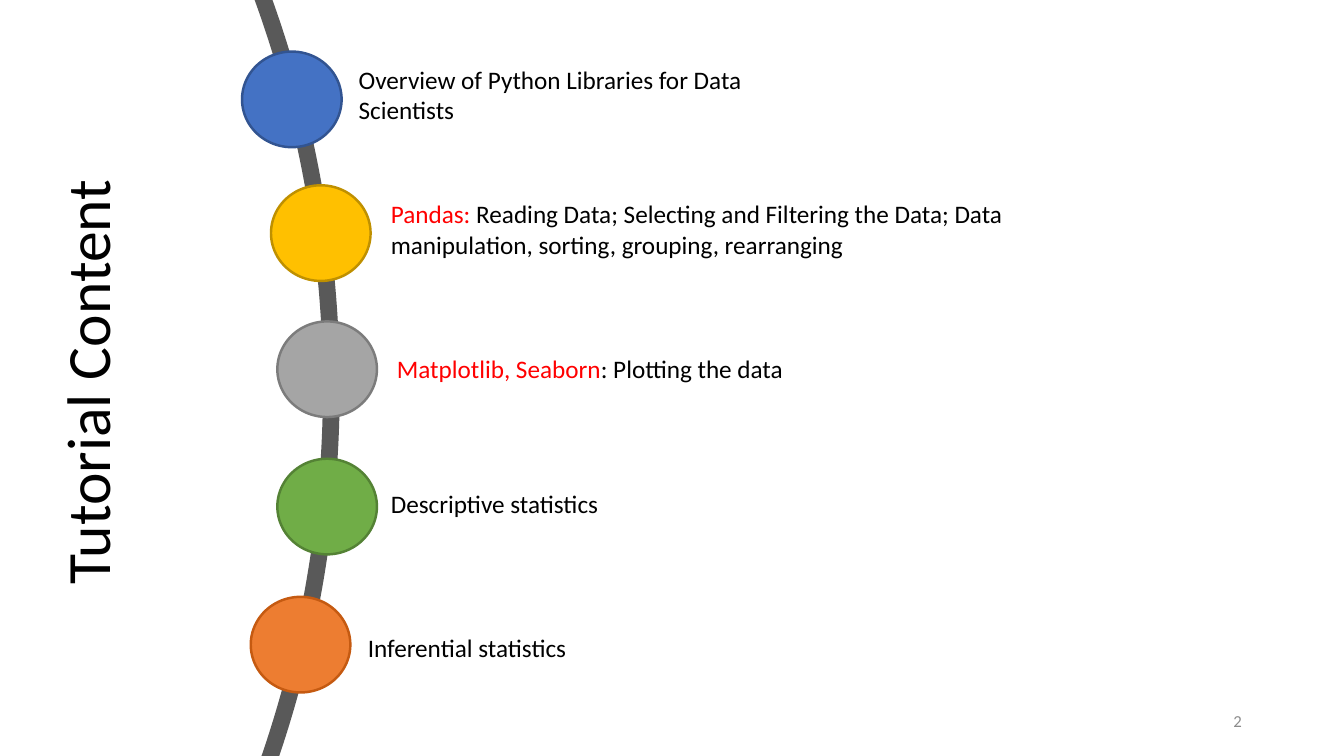
from pptx import Presentation
from pptx.dml.color import RGBColor
from pptx.enum.shapes import MSO_SHAPE
from pptx.enum.text import MSO_ANCHOR, MSO_AUTO_SIZE, PP_ALIGN
from pptx.util import Cm, Pt

FONT = "Calibri"
BLACK = "000000"
RED = "FF0000"
CIRCLE_SIZE = (2.51, 2.41)

# circle position, fill, outline, text box, runs
TOPICS = [
    ((6.1, 1.3), "4472C4", "325491", (8.79, 1.5, 11.66, 1.8),
     [("Overview of Python Libraries for Data Scientists", BLACK)]),
    ((6.83, 4.67), "FFC000", "BF9000", (9.6, 4.88, 19.4, 1.8),
     [("Pandas: ", RED),
      ("Reading Data; Selecting and Filtering the Data; "
       "Data manipulation, sorting, grouping, rearranging", BLACK)]),
    ((6.99, 8.1), "A5A5A5", "7C7C7C", (9.75, 8.79, 14.66, 1.02),
     [("Matplotlib, Seaborn", RED), (": Plotting the data", BLACK)]),
    ((6.99, 11.56), "70AD47", "548235", (9.6, 12.19, 14.66, 1.02),
     [("Descriptive statistics", BLACK)]),
    ((6.32, 15.04), "ED7D31", "C55A11", (9.02, 15.82, 14.66, 1.02),
     [("Inferential statistics", BLACK)]),
]


def color(value):
    return RGBColor.from_string(value)


def lengths(values):
    return [Cm(value) for value in values]


def set_title(slide, text, box):
    title = slide.shapes.title
    title.left, title.top, title.width, title.height = lengths(box)
    title.rotation = 270
    frame = title.text_frame
    frame.text = text
    frame.auto_size = MSO_AUTO_SIZE.NONE
    frame.vertical_anchor = MSO_ANCHOR.MIDDLE
    paragraph = frame.paragraphs[0]
    paragraph.alignment = PP_ALIGN.LEFT
    paragraph.line_spacing = 0.9
    paragraph.font.name = FONT
    paragraph.font.size = Pt(44)
    paragraph.font.color.rgb = color(BLACK)


def add_ellipse(slide, box, line, line_width, fill=None):
    shape = slide.shapes.add_shape(MSO_SHAPE.OVAL, *lengths(box))
    shape.shadow.inherit = False
    if fill:
        shape.fill.solid()
        shape.fill.fore_color.rgb = color(fill)
    else:
        shape.fill.background()
    shape.line.color.rgb = color(line)
    shape.line.width = Pt(line_width)


def add_text(slide, box, runs, size=18, align=PP_ALIGN.LEFT, anchor=MSO_ANCHOR.TOP):
    frame = slide.shapes.add_textbox(*lengths(box)).text_frame
    frame.word_wrap = True
    frame.vertical_anchor = anchor
    paragraph = frame.paragraphs[0]
    paragraph.alignment = align
    paragraph.font.name = FONT
    paragraph.font.size = Pt(size)
    for text, text_color in runs:
        run = paragraph.add_run()
        run.text = text
        run.font.color.rgb = color(text_color)


def main():
    presentation = Presentation()
    presentation.slide_width = Cm(33.87)
    presentation.slide_height = Cm(19.05)
    slide = presentation.slides.add_slide(presentation.slide_layouts[5])

    set_title(slide, "Tutorial Content", (-5.46, 5.41, 15.47, 3.68))
    add_text(slide, (23.93, 17.65, 7.62, 1.02), [("2", "8C8C8C")], 12,
             PP_ALIGN.RIGHT, MSO_ANCHOR.MIDDLE)
    add_ellipse(slide, (-49.23, -19.02, 57.58, 57.58), "595959", 12)
    for position, fill, line, text_box, runs in TOPICS:
        add_ellipse(slide, position + CIRCLE_SIZE, line, 1.75, fill)
        add_text(slide, text_box, runs)

    presentation.save("out.pptx")


if __name__ == "__main__":
    main()
